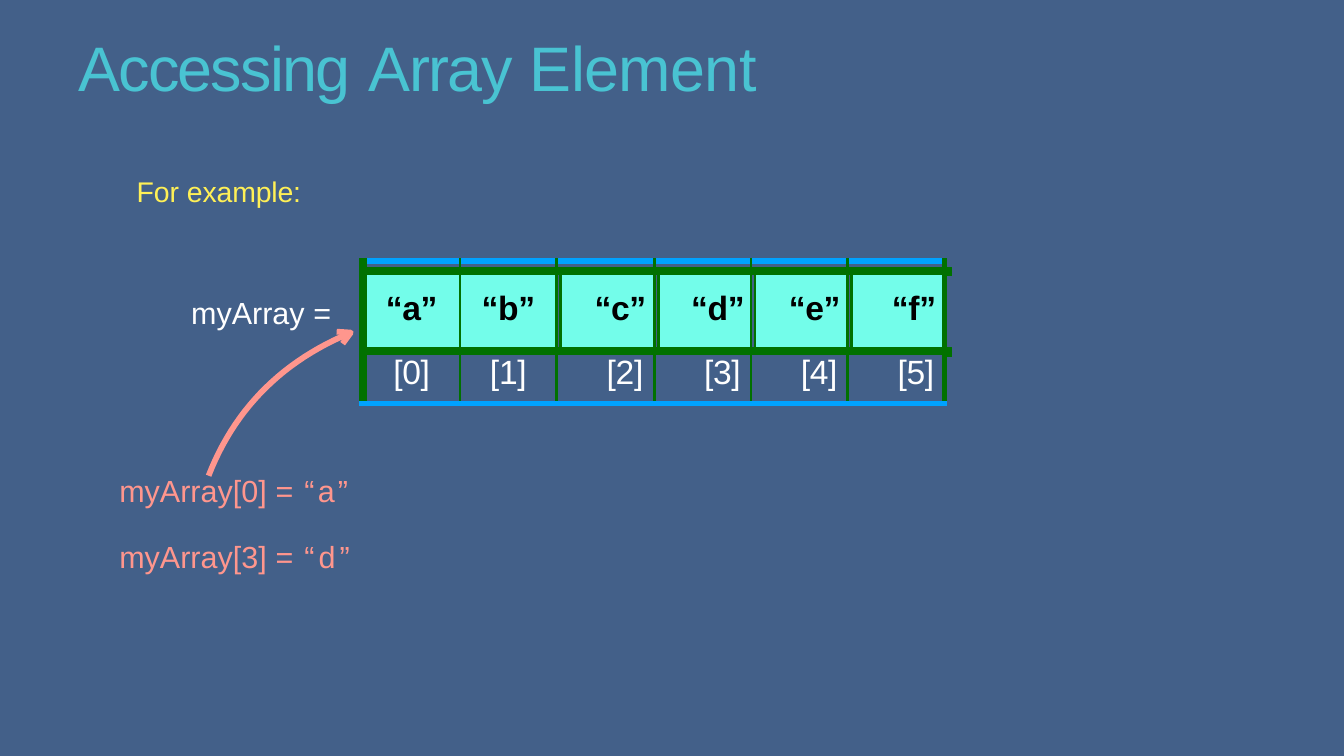
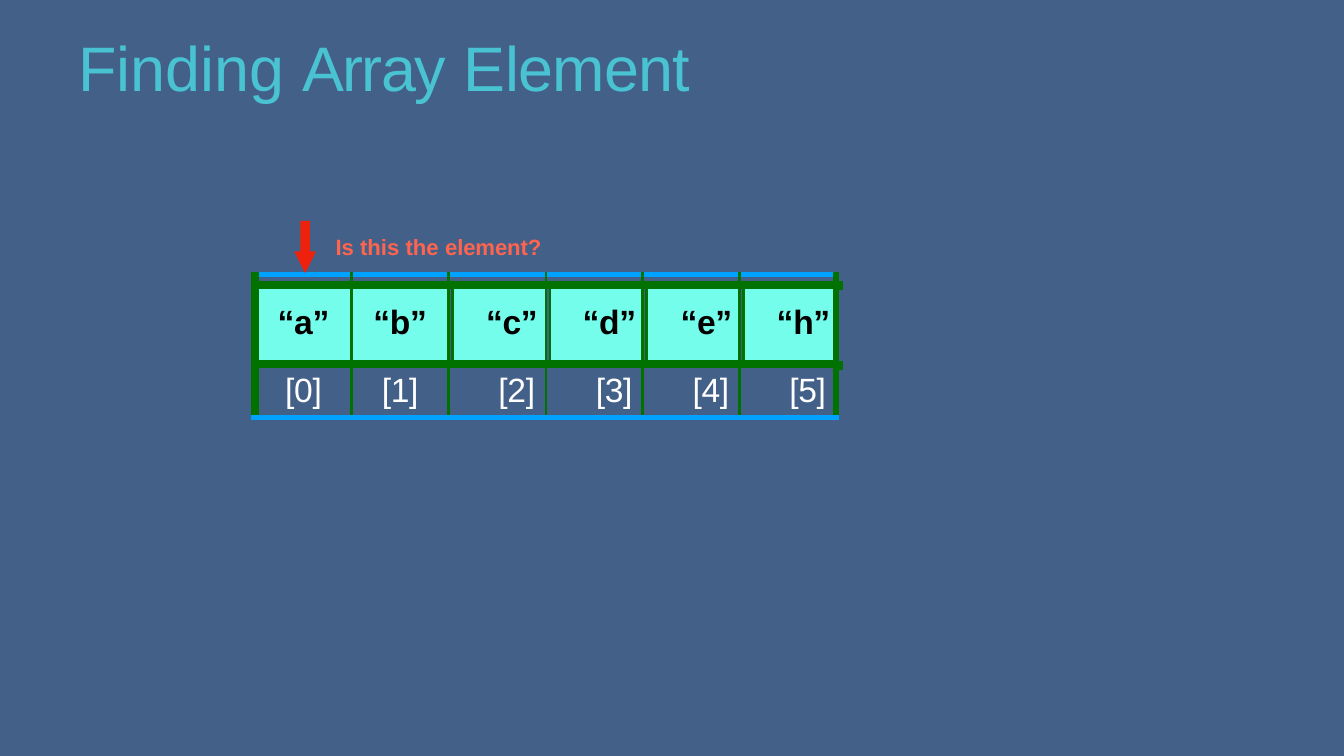
from dataclasses import dataclass

from lxml.etree import SubElement
from pptx import Presentation
from pptx.dml.color import RGBColor
from pptx.enum.shapes import MSO_CONNECTOR, MSO_SHAPE
from pptx.enum.text import MSO_ANCHOR, MSO_AUTO_SIZE, PP_ALIGN
from pptx.oxml.ns import qn
from pptx.util import Pt


@dataclass(frozen=True)
class Theme:
    font: str = "Arial"
    back: str = "436089"
    title: str = "49C3D2"
    note: str = "FFF056"
    white: str = "FFFFFF"
    black: str = "000000"
    pink: str = "FF968D"
    coral: str = "FF644E"
    red: str = "EE220C"
    mint: str = "73FDEA"
    green: str = "017100"
    blue: str = "00A2FF"
    head: float = 44.9
    cell: float = 24
    code: float = 21.8
    lead: float = 20.3
    ask: float = 15.8
    thin: float = 2.25
    mid: float = 4.5
    thick: float = 6.6
    stroke: float = 4.12


T = Theme()
BARE = "{2D5ABB26-0587-4C30-8999-92F81FD0307C}"  # table style without grid


@dataclass(frozen=True)
class Bit:
    text: str
    gap: float = 0  # letter spacing


@dataclass(frozen=True)
class Label:
    left: float
    top: float
    width: float
    height: float
    size: float
    color: str
    lines: list[list[Bit]]
    bold: bool = False
    space: float = 0


@dataclass(frozen=True)
class Grid:
    left: float
    top: float
    words: str
    pads: list[float]  # left inset of each word, from the third on
    drop: float  # top inset of the index row


def style(run, size: float, color: str, bold: bool = False, gap: float = 0) -> None:
    font = run.font
    font.name, font.size, font.bold = T.font, Pt(size), bold
    font.color.rgb = RGBColor.from_string(color)
    if gap:
        run._r.get_or_add_rPr().set("spc", str(round(gap * 100)))


def fill_text(frame, item: Label, inset: float = 0) -> None:
    frame.margin_left, frame.margin_top = Pt(inset), Pt(0.8)
    frame.margin_right = frame.margin_bottom = 0
    frame.word_wrap, frame.auto_size = True, MSO_AUTO_SIZE.NONE
    frame.vertical_anchor = MSO_ANCHOR.TOP
    for i, bits in enumerate(item.lines):
        para = frame.add_paragraph() if i else frame.paragraphs[0]
        para.alignment = PP_ALIGN.LEFT
        if i:
            para.space_before = Pt(item.space)
        for bit in bits:
            run = para.add_run()
            run.text = bit.text
            style(run, item.size, item.color, item.bold, bit.gap)


def add_label(slide, item: Label) -> None:
    box = slide.shapes.add_textbox(
        Pt(item.left), Pt(item.top), Pt(item.width), Pt(item.height))
    fill_text(box.text_frame, item)


def add_page(deck, bits: list[Bit]):
    slide = deck.slides.add_slide(deck.slide_layouts[5])
    item = Label(15.8, 19.5, 551.5, 55.4, T.head, T.title, [bits])
    shape = slide.shapes.title
    shape.left, shape.top = Pt(item.left), Pt(item.top)
    shape.width, shape.height = Pt(item.width), Pt(item.height)
    fill_text(shape.text_frame, item, 40.3)
    return slide


def add_rule(slide, left: float, top: float, width: float) -> None:
    line = slide.shapes.add_connector(
        MSO_CONNECTOR.STRAIGHT, Pt(left), Pt(top), Pt(left + width), Pt(top))
    line.line.color.rgb = RGBColor.from_string(T.green)
    line.line.width = Pt(T.thick)
    SubElement(line._element.spPr, qn("a:effectLst"))


def set_edge(cell, side: str, color: str, width: float) -> None:
    edge = SubElement(cell._tc.get_or_add_tcPr(), qn(f"a:ln{side}"), w=str(Pt(width)))
    fill = SubElement(edge, qn("a:solidFill"))
    SubElement(fill, qn("a:srgbClr"), val=color)


def set_cell(cell, row: int, col: int, text: str, pad: float, drop: float) -> None:
    cell.margin_left = Pt(pad)
    cell.margin_right = cell.margin_bottom = 0
    cell.margin_top = Pt(drop if text else 0)
    # Borders come before the fill; a gap and its word share one frame
    split = row == 1 and col > 1
    if not split or col % 2 == 0:
        set_edge(cell, "L", T.green, T.thin if col else T.thick)
    if not split or col % 2:
        set_edge(cell, "R", T.green, T.mid if col >= 8 else T.thin)
    blue, green = (T.blue, T.mid), (T.green, T.thick)
    set_edge(cell, "T", *(green if row else blue))
    set_edge(cell, "B", *(blue if row == 2 else green))
    cell.fill.solid()
    cell.fill.fore_color.rgb = RGBColor.from_string(
        T.mint if row == 1 and text else T.back)
    para = cell.text_frame.paragraphs[0]
    if not text:
        SubElement(para._p, qn("a:endParaRPr"), sz="400")
        return
    para.text = text
    para.alignment = PP_ALIGN.LEFT if col > 1 else PP_ALIGN.CENTER
    word = row == 1
    style(para.runs[0], T.cell, T.black if word else T.white, word, -0.2)


def add_grid(slide, grid: Grid) -> None:
    for drop in (7.7, 65):
        add_rule(slide, grid.left, grid.top + drop, 420.3)
    pitch, gaps = 69.1, (2.3, 2.8, 2.8, 2.8)
    widths = [pitch] * 2 + [w for gap in gaps for w in (gap, pitch - gap)]
    heights = (7.2, 56.9, 37.8)
    frame = slide.shapes.add_table(
        3, len(widths), Pt(grid.left), Pt(grid.top), Pt(sum(widths)), Pt(sum(heights)))
    table = frame.table
    table.first_row = table.horz_banding = False
    table._tbl.tblPr.find(qn("a:tableStyleId")).text = BARE
    for col, width in zip(table.columns, widths):
        col.width = Pt(width)
    for row, height in zip(table.rows, heights):
        row.height = Pt(height)
    # Top strip and index row join each gap with its word column
    for row in (0, 2):
        for col in range(2, len(widths), 2):
            table.cell(row, col).merge(table.cell(row, col + 1))
        for col in (0, 1, 2, 4, 6, 8):
            index = col if col < 2 else col // 2 + 1
            text = f"[{index}]" if row else ""
            pad = 35.6 if text and col > 1 else 0
            set_cell(table.cell(row, col), row, col, text, pad, grid.drop)
    # Word row
    for col in range(len(widths)):
        gap = col > 1 and col % 2 == 0
        index = col if col < 2 else (col + 1) // 2
        text = "" if gap else f"“{grid.words[index]}”"
        pad = grid.pads[index - 2] if text and col > 1 else 0
        set_cell(table.cell(1, col), 1, col, text, pad, 13.7)


def trace(slide, *paths: list[tuple[float, float]]) -> None:
    pen = slide.shapes.build_freeform(Pt(paths[0][0][0]), Pt(paths[0][0][1]), scale=1.0)
    for i, dots in enumerate(paths):
        if i:
            pen.move_to(Pt(dots[0][0]), Pt(dots[0][1]))
        pen.add_line_segments([(Pt(x), Pt(y)) for x, y in dots[1:]], close=False)
    shape = pen.convert_to_shape()
    shape.shadow.inherit = False
    shape.fill.background()
    shape.line.color.rgb = RGBColor.from_string(T.pink)
    shape.line.width = Pt(T.stroke)


def add_curve(slide) -> None:
    start, bend, end = (149, 339.8), (175.7, 271.4), (244, 240.5)
    steps = 24
    curve = []
    for i in range(steps + 1):
        t = i / steps
        curve.append(tuple((1 - t) ** 2 * a + 2 * t * (1 - t) * b + t * t * c
                           for a, b, c in zip(start, bend, end)))
    tip = (250.6, 237.6)
    trace(slide, curve)
    trace(slide, [(244.8, 245.5), tip, (240.5, 236.9)], [(242.6, 241.2), tip])


def add_arrow(slide) -> None:
    shape = slide.shapes.add_shape(
        MSO_SHAPE.DOWN_ARROW, Pt(210.2), Pt(157.7), Pt(15.5), Pt(37.4))
    shape.adjustments[0], shape.adjustments[1] = 0.43, 1
    shape.shadow.inherit = False
    shape.fill.solid()
    shape.fill.fore_color.rgb = RGBColor.from_string(T.red)
    shape.line.fill.background()


def main() -> None:
    deck = Presentation()
    deck.slide_width, deck.slide_height = Pt(960), Pt(540)
    back = deck.slide_master.background.fill
    back.solid()
    back.fore_color.rgb = RGBColor.from_string(T.back)

    # Access by index
    slide = add_page(deck, [
        Bit("Accessing", -1.3), Bit(" ", 0.8), Bit("Array", -1.1), Bit(" ", -0.4),
        Bit("Element", -0.4)])
    add_grid(slide, Grid(259.5, 186.5, "abcdef", [24.2, 23.5, 24.2, 28.8], 2.2))
    add_label(slide, Label(97.5, 123.8, 142, 26, T.lead, T.note,
                           [[Bit("For "), Bit("example:", -0.1)]]))
    add_label(slide, Label(136.5, 209.2, 110, 28, T.code, T.white,
                           [[Bit("myArray "), Bit("=", 1.5)]]))
    add_curve(slide)
    add_label(slide, Label(85.2, 336.2, 169, 75, T.code, T.pink, [
        [Bit("myArray[0] "), Bit("= ", 0.9), Bit("“a”", 2.3)],
        [Bit("myArray[3] "), Bit("= ", 0.9), Bit("“d”", 2.9)]], space=20.9))

    # Search from the start
    slide = add_page(deck, [
        Bit("Finding "), Bit("Array", -1.1), Bit(" ", 0.3), Bit("Element", -0.5)])
    add_grid(slide, Grid(182.2, 196.2, "abcdeh", [24, 23.3, 24.2, 23.8], 5.8))
    add_arrow(slide)
    add_label(slide, Label(239.7, 165.6, 155, 21, T.ask, T.coral,
                           [[Bit("Is this the "), Bit("element?", -0.1)]], bold=True))

    deck.save("out.pptx")


if __name__ == "__main__":
    main()
